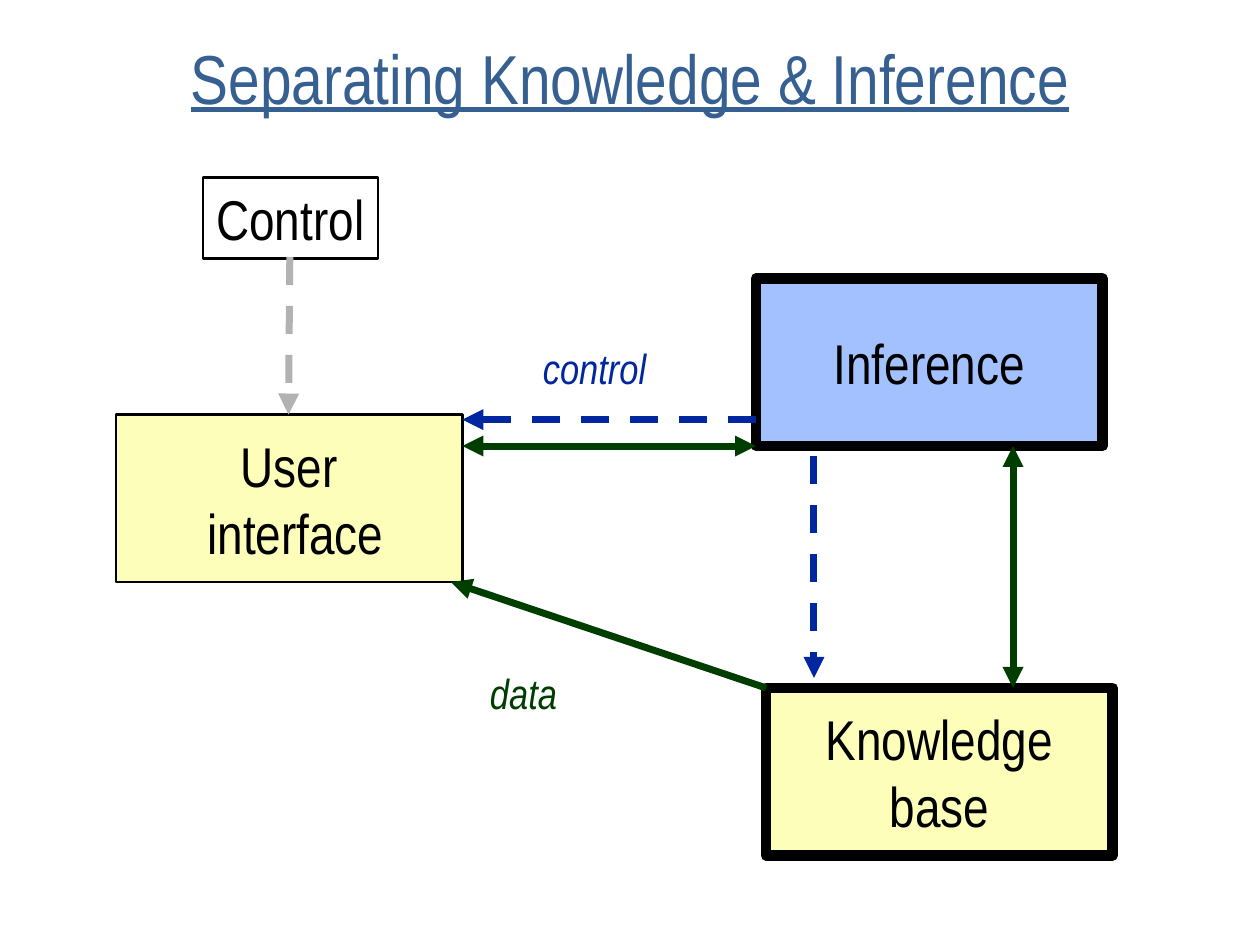
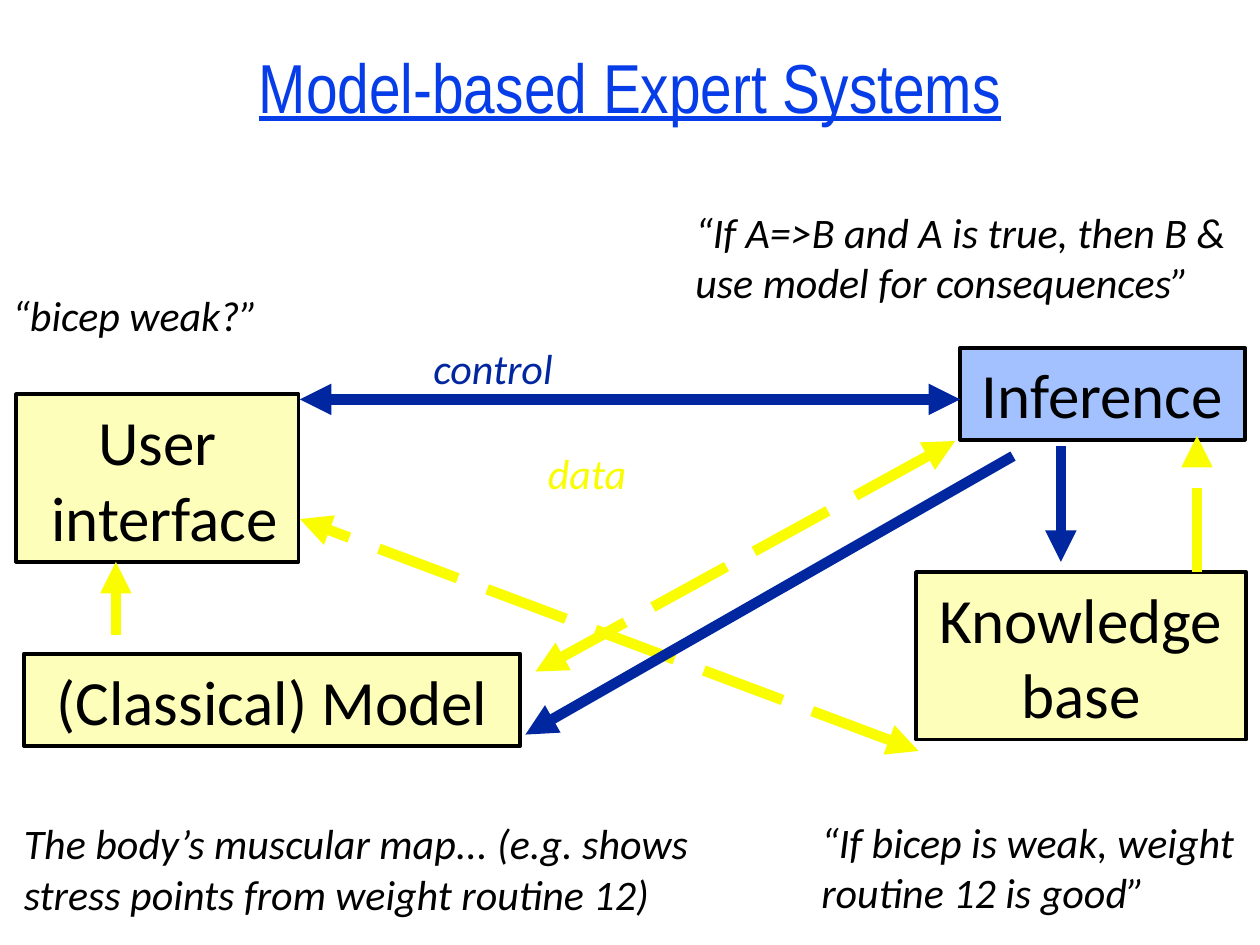
"""Build two slides on expert system architecture with labelled boxes and flows."""
from dataclasses import dataclass

from lxml import etree
from pptx import Presentation
from pptx.dml.color import RGBColor
from pptx.enum.dml import MSO_LINE
from pptx.enum.shapes import MSO_CONNECTOR, MSO_SHAPE
from pptx.enum.text import MSO_ANCHOR, PP_ALIGN
from pptx.oxml.ns import qn
from pptx.util import Inches, Pt

RECTANGLE = MSO_SHAPE.RECTANGLE
STRAIGHT = MSO_CONNECTOR.STRAIGHT
DASH = MSO_LINE.DASH
LONG_DASH = MSO_LINE.LONG_DASH
TOP = MSO_ANCHOR.TOP
MIDDLE = MSO_ANCHOR.MIDDLE
LEFT = PP_ALIGN.LEFT
CENTER = PP_ALIGN.CENTER


@dataclass(frozen=True)
class Theme:
    narrow: str = "Arial Narrow"
    body: str = "Calibri"
    title_size: float = 39.6
    label_size: float = 24
    black: str = "000000"
    white: str = "FFFFFF"
    cream: str = "FCFEB9"
    sky: str = "A2C1FE"
    navy: str = "00279F"
    green: str = "003E00"
    yellow: str = "FAFD00"
    gray: str = "B2B2B2"
    steel: str = "376092"
    blue: str = "063DE8"


THEME = Theme()
TITLE_AREA = (0.5, 0.3, 9, 0.62)

# Boxes: lines, area, fill, border. Flows: kind, start, end, double-headed.
# Labels: text, area, colour.
SLIDES = [
    {
        "title": "Separating Knowledge & Inference",
        "title_color": THEME.steel,
        "title_anchor": MIDDLE,
        "font": THEME.narrow,
        "box_size": 32,
        "flow_width": 4,
        "flow_kinds": {
            "control": (THEME.navy, DASH),
            "data": (THEME.green, None),
            "start": (THEME.gray, DASH),
        },
        "boxes": [
            (["Knowledge", "base"], (6.08, 5.46, 2.75, 1.33), THEME.cream, 6),
            (["Inference"], (6, 2.21, 2.75, 1.33), THEME.sky, 6),
            (["User", " interface"], (0.92, 3.29, 2.75, 1.33), THEME.cream, 1.5),
            (["Control"], (1.61, 1.41, 1.39, 0.64), THEME.white, 1.5),
        ],
        "flows": [
            ("control", (6.46, 3.62), (6.46, 5.38), False),
            ("control", (6, 3.33), (3.67, 3.33), False),
            ("data", (8.04, 5.46), (8.04, 3.54), True),
            ("data", (6.08, 5.46), (3.58, 4.62), False),
            ("data", (3.67, 3.54), (6, 3.54), True),
            ("start", (2.3, 2.04), (2.29, 3.29), False),
        ],
        "labels": [
            ("control", (4.21, 2.67, 1.41, 0.5), THEME.navy),
            ("data", (3.79, 5.25, 1.41, 0.5), THEME.green),
        ],
    },
    {
        "title": "Model-based Expert Systems",
        "title_color": THEME.blue,
        "title_anchor": TOP,
        "font": THEME.body,
        "box_size": 36,
        "flow_width": 6,
        "flow_kinds": {
            "control": (THEME.navy, None),
            "data": (THEME.yellow, LONG_DASH),
        },
        "boxes": [
            (["Knowledge", "base"], (7.27, 4.54, 2.62, 1.33), THEME.cream, 2.25),
            (["Inference"], (7.62, 2.76, 2.26, 0.73), THEME.sky, 2.25),
            (["User", " interface"], (0.13, 3.13, 2.24, 1.33), THEME.cream, 2.25),
            (["(Classical) Model"], (0.19, 5.19, 3.94, 0.73), THEME.cream, 2.25),
        ],
        "flows": [
            ("control", (7.62, 3.17), (2.38, 3.17), True),
            ("data", (9.5, 4.54), (9.5, 3.46), False),
            ("data", (7.29, 5.96), (2.38, 4.12), True),
            ("data", (7.58, 3.5), (4.25, 5.33), True),
            ("data", (0.92, 5.04), (0.92, 4.46), False),
            ("control", (8.42, 3.54), (8.42, 4.46), False),
            ("control", (8.04, 3.62), (4.17, 5.83), False),
        ],
        "labels": [
            ("control", (3.34, 2.67, 1.41, 0.5), THEME.navy),
            ("data", (4.25, 3.5, 1.41, 0.5), THEME.yellow),
            ("“If bicep is weak, weight routine 12 is good”",
             (6.42, 6.43, 3.5, 0.91), THEME.black),
            ("“bicep weak?”", (0, 2.25, 2.83, 0.5), THEME.black),
            ("“If A=>B and A is true, then B & use model for consequences”",
             (5.42, 1.59, 4.5, 0.91), THEME.black),
            ("The body’s muscular map... (e.g. shows stress points from weight routine 12)",
             (0.09, 6.44, 5.75, 0.9), THEME.black),
        ],
    },
]


def color(value):
    return RGBColor.from_string(value)


def inches(values):
    return [Inches(value) for value in values]


def write(shape, lines, font, size, ink, align=LEFT, anchor=TOP, wrap=True,
          italic=False, underline=False):
    frame = shape.text_frame
    frame.word_wrap = wrap
    frame.vertical_anchor = anchor
    for index, line in enumerate(lines):
        paragraph = frame.add_paragraph() if index else frame.paragraphs[0]
        paragraph.alignment = align
        run = paragraph.add_run()
        run.text = line
        run.font.name = font
        run.font.size = Pt(size)
        run.font.color.rgb = color(ink)
        run.font.italic = italic
        run.font.underline = underline


def add_title(slide, content):
    shape = slide.shapes.add_textbox(*inches(TITLE_AREA))
    write(shape, [content["title"]], THEME.narrow, THEME.title_size,
          content["title_color"], CENTER, content["title_anchor"], underline=True)


def add_box(slide, content, lines, area, fill, border):
    shape = slide.shapes.add_shape(RECTANGLE, *inches(area))
    shape.shadow.inherit = False
    shape.fill.solid()
    shape.fill.fore_color.rgb = color(fill)
    shape.line.color.rgb = color(THEME.black)
    shape.line.width = Pt(border)
    write(shape, lines, content["font"], content["box_size"], THEME.black,
          CENTER, MIDDLE, wrap=False)


def add_flow(slide, content, kind, start, end, double):
    ink, dash = content["flow_kinds"][kind]
    connector = slide.shapes.add_connector(STRAIGHT, *inches(start + end))
    connector.line.color.rgb = color(ink)
    connector.line.width = Pt(content["flow_width"])
    if dash is not None:
        connector.line.dash_style = dash
    outline = connector.get_or_add_ln()
    for tag in ("a:headEnd", "a:tailEnd") if double else ("a:tailEnd",):
        etree.SubElement(outline, qn(tag), type="triangle")
    etree.SubElement(outline.getparent(), qn("a:effectLst"))


def add_label(slide, content, text, area, ink):
    shape = slide.shapes.add_textbox(*inches(area))
    write(shape, [text], content["font"], THEME.label_size, ink, italic=True)


def main():
    presentation = Presentation()
    presentation.slide_width = Inches(10)
    presentation.slide_height = Inches(7.5)
    blank = presentation.slide_layouts[6]
    for content in SLIDES:
        slide = presentation.slides.add_slide(blank)
        add_title(slide, content)
        for box in content["boxes"]:
            add_box(slide, content, *box)
        for flow in content["flows"]:
            add_flow(slide, content, *flow)
        for label in content["labels"]:
            add_label(slide, content, *label)
    presentation.save("out.pptx")


if __name__ == "__main__":
    main()
